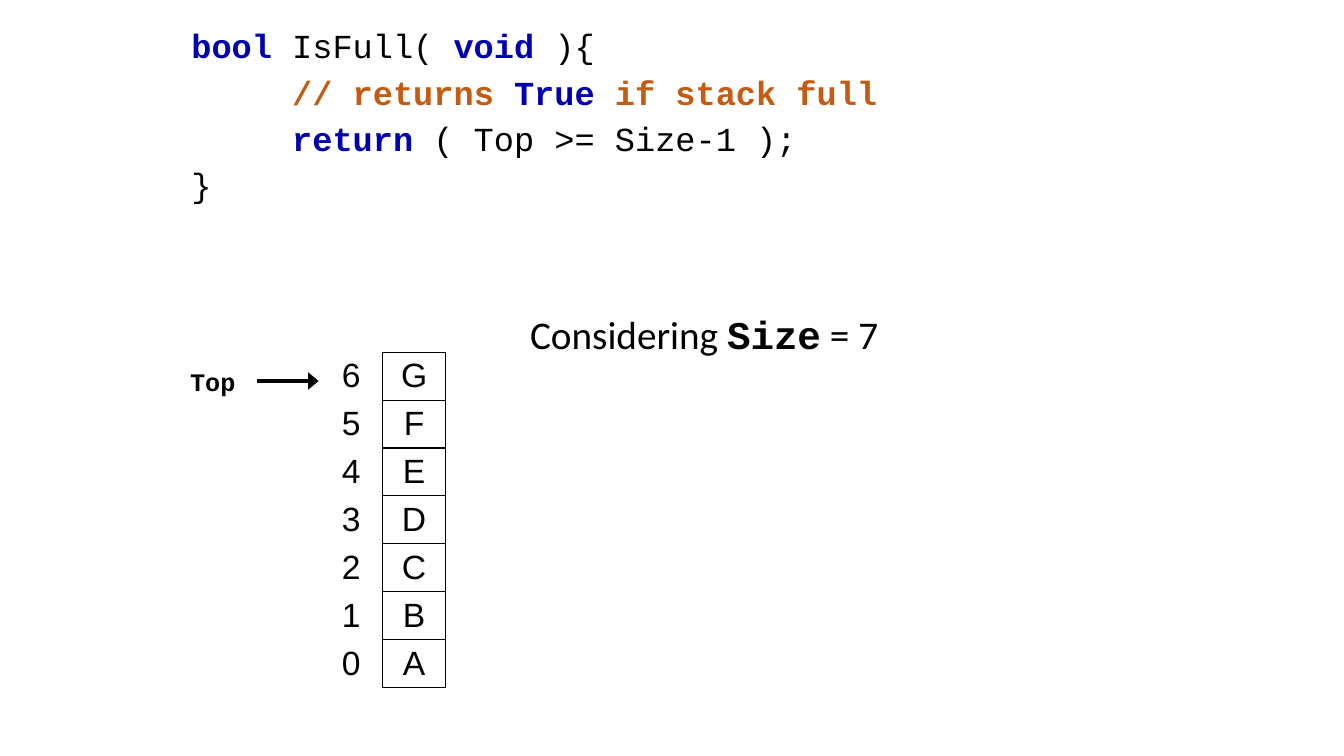
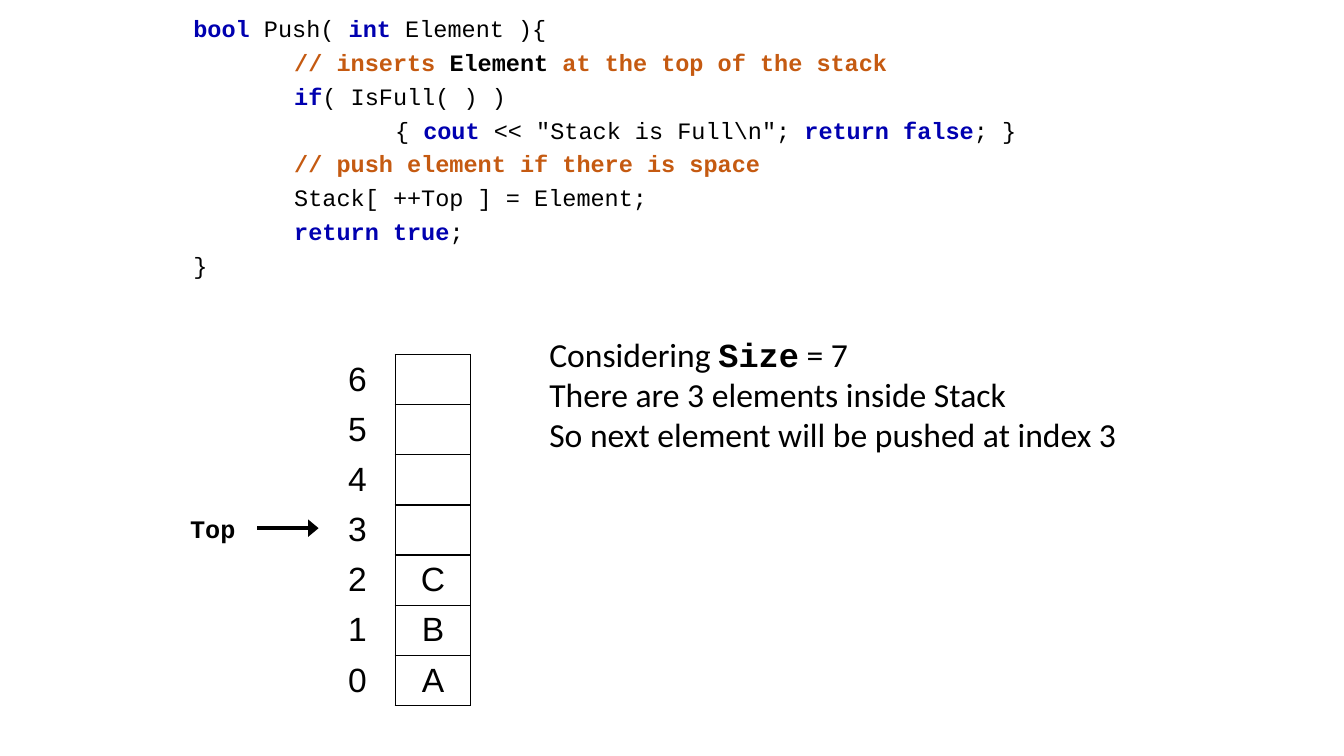
from lxml.etree import SubElement
from pptx import Presentation
from pptx.dml.color import RGBColor
from pptx.enum.shapes import MSO_CONNECTOR, MSO_SHAPE
from pptx.enum.text import MSO_ANCHOR, MSO_AUTO_SIZE, PP_ALIGN
from pptx.oxml.ns import qn
from pptx.util import Inches, Pt

COLORS = {"ink": "000000", "keyword": "0000B0", "comment": "C55A11", "paper": "FFFFFF"}
CODE_FONT, CELL_FONT, NOTE_FONT = "Courier New", "Arial", "Calibri"
CODE_STYLES = {
    "plain": ("ink", False),
    "strong": ("ink", True),
    "keyword": ("keyword", True),
    "comment": ("comment", True),
}
NO_GRID_STYLE = "{2D5ABB26-0587-4C30-8999-92F81FD0307C}"
STACK_SIZE = 7

IS_FULL_CODE = [
    [("bool ", "keyword"), ("IsFull( ", "plain"), ("void", "keyword"), (" ){", "plain")],
    [("\t// returns ", "comment"), ("True", "keyword"), (" if stack full", "comment")],
    [("\treturn", "keyword"), (" ( Top >= Size-1 );", "plain")],
    [("}", "plain")],
]
PUSH_CODE = [
    [("bool", "keyword"), (" Push( ", "plain"), ("int ", "keyword"), ("Element ){", "plain")],
    [("\t// inserts ", "comment"), ("Element", "strong"),
     (" at the top of the stack", "comment")],
    [("\tif", "keyword"), ("( IsFull( ) )", "plain")],
    [("\t\t{ ", "plain"), ("cout ", "keyword"), ('<< "Stack is Full\\n"; ', "plain"),
     ("return false", "keyword"), ("; }", "plain")],
    [("\t// push element if there is space", "comment")],
    [("\tStack[ ++Top ] = Element;", "plain")],
    [("\treturn true", "keyword"), (";", "plain")],
    [("}", "plain")],
]
SIZE_NOTE = [("Considering ", False), ("Size", True), (" = 7", False)]
PUSH_NOTES = [
    SIZE_NOTE,
    [("There are 3 elements inside Stack", False)],
    [("So next element will be pushed at index 3", False)],
]


def color(name):
    """Return the named palette colour."""
    return RGBColor.from_string(COLORS[name])


def set_font(font, name, size, bold=False):
    """Give a font its face, size, weight and the ink colour."""
    font.name, font.size, font.bold = name, Pt(size), bold
    font.color.rgb = color("ink")


def add_frame(slide, box):
    """Add a wrapping text box and return its text frame."""
    frame = slide.shapes.add_textbox(*map(Inches, box)).text_frame
    frame.word_wrap = True
    return frame


def add_paragraphs(frame, lines):
    """Yield one paragraph of the frame with each line."""
    for index, line in enumerate(lines):
        yield frame.add_paragraph() if index else frame.paragraphs[0], line


def set_tab_stops(paragraph, *stops):
    """Put left tab stops at the given inches of a paragraph with a font."""
    properties = paragraph._p.get_or_add_pPr()
    tab_list = properties.makeelement(qn("a:tabLst"), {})
    for stop in stops:
        SubElement(tab_list, qn("a:tab"), pos=str(Inches(stop)), algn="l")
    properties.find(qn("a:defRPr")).addprevious(tab_list)


def add_code(slide, box, lines, size, line_spacing):
    """Write highlighted source code in the box."""
    for paragraph, line in add_paragraphs(add_frame(slide, box), lines):
        paragraph.line_spacing, paragraph.space_before = line_spacing, Pt(10)
        set_font(paragraph.font, CODE_FONT, size)
        set_tab_stops(paragraph, 1, 2)
        for text, style in line:
            run = paragraph.add_run()
            run.text = text
            ink, run.font.bold = CODE_STYLES[style]
            run.font.color.rgb = color(ink)


def add_notes(slide, box, lines, size):
    """Write the remarks beside the stack, with code words in the code font."""
    frame = add_frame(slide, box)
    frame.auto_size = MSO_AUTO_SIZE.SHAPE_TO_FIT_TEXT
    for paragraph, line in add_paragraphs(frame, lines):
        set_font(paragraph.font, NOTE_FONT, size)
        for text, is_code in line:
            run = paragraph.add_run()
            run.text = text
            if is_code:
                run.font.name, run.font.bold = CODE_FONT, True


def add_borders(cell, sides):
    """Draw thin ink borders on the given sides of a cell."""
    properties = cell._tc.get_or_add_tcPr()
    for position, side in enumerate(sides):
        border = properties.makeelement(qn(f"a:ln{side}"), {"w": str(Pt(1))})
        fill = SubElement(border, qn("a:solidFill"))
        SubElement(fill, qn("a:srgbClr"), val=COLORS["ink"])
        properties.insert(position, border)


def add_stack(slide, box, elements):
    """Draw the indexed stack, filled from the bottom, under one empty row."""
    left, top, width, height = map(Inches, box)
    rows = STACK_SIZE + 1
    stack = slide.shapes.add_table(rows, 2, left, top, width, height).table
    stack.first_row = stack.horz_banding = False
    stack._tbl.tblPr.find(qn("a:tableStyleId")).text = NO_GRID_STYLE
    for row_number, row in enumerate(stack.rows):
        row.height = height // rows
        slot = STACK_SIZE - row_number
        labels = ("", "") if row_number == 0 else (str(slot), elements[slot:slot + 1])
        for cell, label in zip(row.cells, labels):
            cell.fill.background()
            cell.vertical_anchor = MSO_ANCHOR.MIDDLE
            cell.margin_left = cell.margin_right = Inches(0.07)
            cell.margin_top = cell.margin_bottom = Inches(0.03)
            cell.text = label
            paragraph = cell.text_frame.paragraphs[0]
            paragraph.alignment = PP_ALIGN.CENTER
            set_font(paragraph.font, CELL_FONT, 24)
        add_borders(stack.cell(row_number, 1), "LRTB" if row_number else "B")


def add_top_pointer(slide, box, arrow_length=0.61):
    """Place the Top label in the box with an arrow leaving its right side."""
    left, top, width, height = box
    pointer = slide.shapes.add_group_shape().shapes
    label = pointer.add_shape(MSO_SHAPE.RECTANGLE, *map(Inches, box))
    label.shadow.inherit = False
    label.fill.solid()
    label.fill.fore_color.rgb = color("paper")
    label.line.fill.background()
    label.text_frame.vertical_anchor = MSO_ANCHOR.MIDDLE
    paragraph = label.text_frame.paragraphs[0]
    paragraph.text = "Top"
    paragraph.alignment = PP_ALIGN.CENTER
    set_font(paragraph.font, CODE_FONT, 18, bold=True)

    start, middle = left + width, top + height / 2
    arrow = pointer.add_connector(
        MSO_CONNECTOR.STRAIGHT,
        *map(Inches, (start, middle, start + arrow_length, middle)))
    arrow.begin_connect(label, 3)
    arrow.line.color.rgb = color("ink")
    arrow.line.width = Pt(2.5)
    SubElement(arrow.line._get_or_add_ln(), qn("a:tailEnd"),
               type="triangle", w="lg", len="med")
    SubElement(arrow._element.spPr, qn("a:effectLst"))


def add_is_full_slide(slide):
    """Show IsFull with a full stack."""
    add_code(slide, (1.8, 0.28, 9.74, 1.91), IS_FULL_CODE, 24, 0.8)
    add_stack(slide, (3.17, 3.02, 1.25, 3.8), "ABCDEFG")
    add_top_pointer(slide, (1.67, 3.62, 0.88, 0.32))
    add_notes(slide, (5.16, 3.03, 4.77, 0.57), [SIZE_NOTE], 28)


def add_push_slide(slide):
    """Show Push with a partly filled stack."""
    add_code(slide, (1.82, 0.17, 9.74, 2.87), PUSH_CODE, 16.8, 0.7)
    add_stack(slide, (3.17, 3.02, 1.5, 3.98), "ABC")
    add_top_pointer(slide, (1.67, 5.08, 0.88, 0.32))
    add_notes(slide, (5.35, 3.26, 5.9, 1.31), PUSH_NOTES, 24)


def main():
    """Build and save the presentation."""
    deck = Presentation()
    deck.slide_width, deck.slide_height = Inches(13.33), Inches(7.5)
    for fill_slide in (add_is_full_slide, add_push_slide):
        fill_slide(deck.slides.add_slide(deck.slide_layouts[6]))
    deck.save("out.pptx")


if __name__ == "__main__":
    main()
